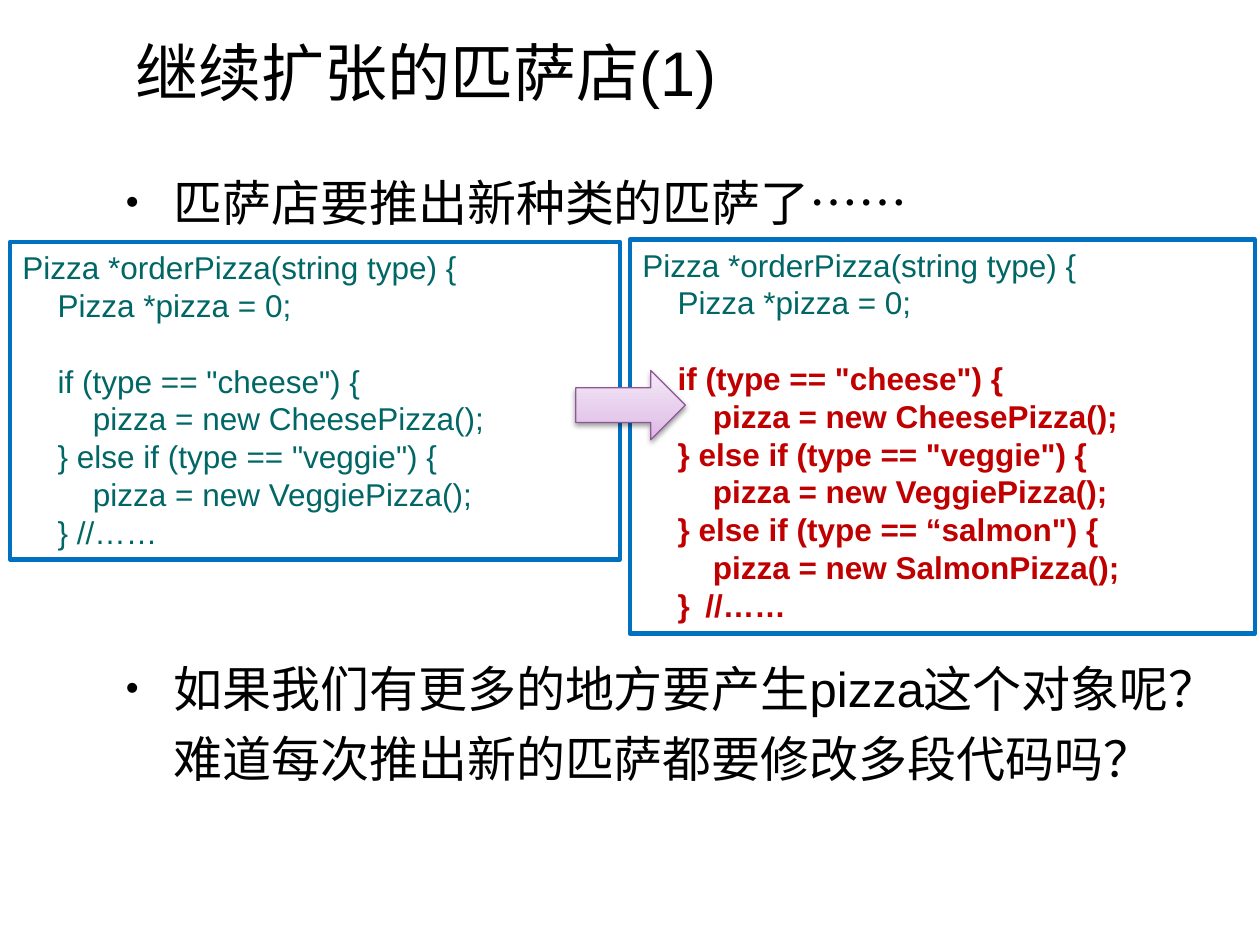
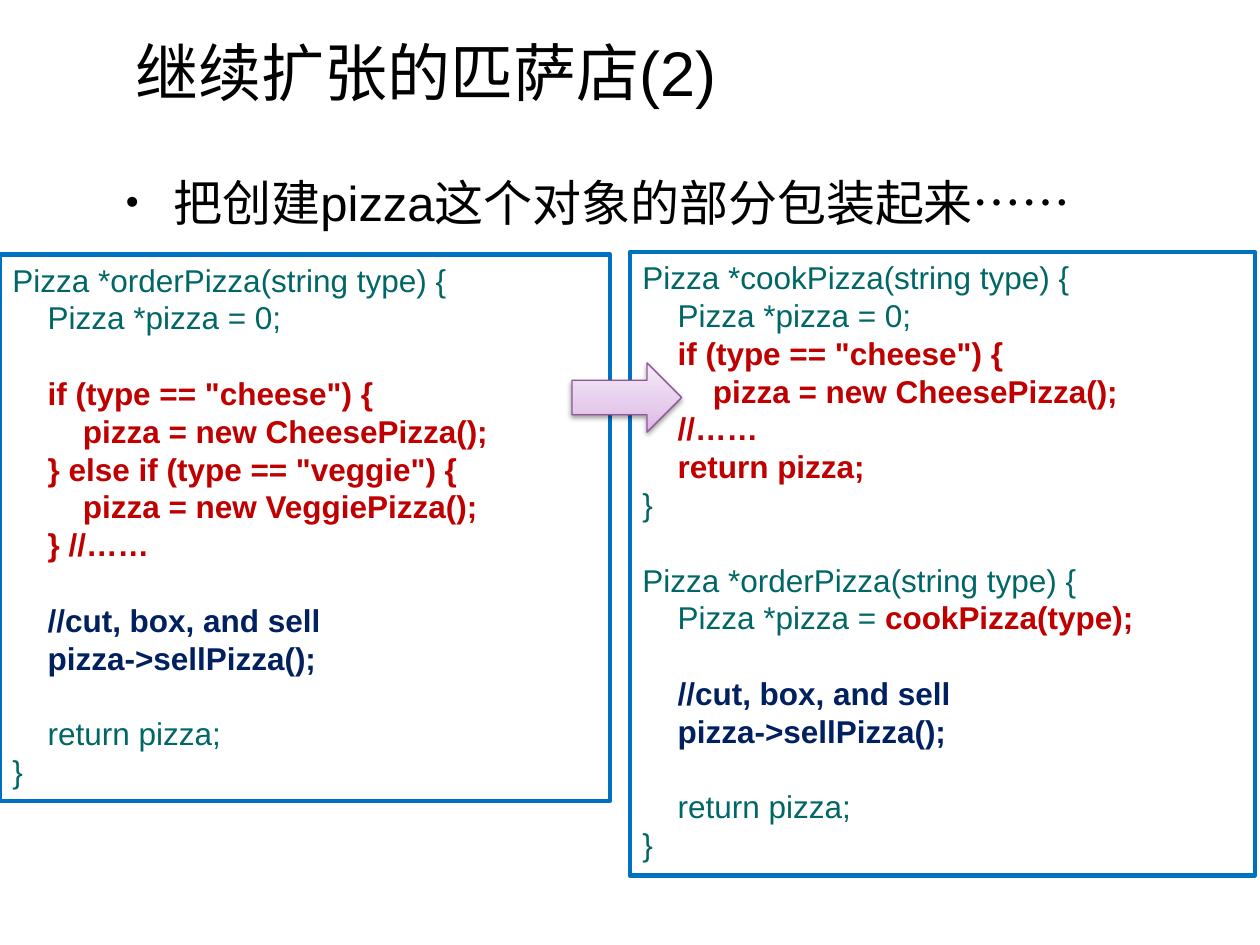
from lxml import etree
from pptx import Presentation
from pptx.dml.color import RGBColor
from pptx.enum import shapes, text
from pptx.oxml import parse_xml
from pptx.oxml.ns import nsdecls, qn
from pptx.util import Inches, Pt

BLACK = RGBColor(0x00, 0x00, 0x00)
TEAL = RGBColor(0x00, 0x66, 0x66)
RED = RGBColor(0xC0, 0x00, 0x00)
NAVY = RGBColor(0x00, 0x20, 0x60)
FRAME_BLUE = RGBColor(0x00, 0x70, 0xC0)
ARROW_EDGE = RGBColor(0x8E, 0x58, 0x98)
ARROW_STOPS = [(0, "DBB4E4"), (35, "E5CBEB"), (100, "F5EAF8")]

PLAIN = {"color": TEAL, "bold": False}
CHANGED = {"color": RED, "bold": True}
SELLING = {"color": NAVY, "bold": True}

FONT = "Arial"
CODE_LINE = Pt(21.6)
CODE_INDENT = 0.28
BULLET_INDENT = 0.38

# A code line is (indent level, (style, text), ...); None is an empty line.
ORDER_HEAD = (0, (PLAIN, "Pizza *orderPizza(string type) {"))
DECLARE = (1, (PLAIN, "Pizza *pizza = 0;"))
CLOSE = (0, (PLAIN, "}"))
SELL = [
    None,
    (1, (SELLING, "//cut, box, and sell")),
    (1, (SELLING, "pizza->sellPizza();")),
    None,
    (1, (PLAIN, "return pizza;")),
    CLOSE,
]


def choices(style, *lines):
    """Code lines of one style; statements inside a branch go one level deeper."""
    return [(2 if line.startswith("pizza =") else 1, (style, line)) for line in lines]


CHEESE = ['if (type == "cheese") {', "pizza = new CheesePizza();"]
VEGGIE = ['} else if (type == "veggie") {', "pizza = new VeggiePizza();"]
SALMON = ["} else if (type == “salmon\") {", "pizza = new SalmonPizza();"]

SLIDES = [
    {
        "title": "继续扩张的匹萨店(1)",
        "body_width": 8.66,
        "bullets": [
            ("匹萨店要推出新种类的匹萨了……", 6),
            ("如果我们有更多的地方要产生pizza这个对象呢？"
             "难道每次推出新的匹萨都要修改多段代码吗？", 237),
        ],
        "panels": [
            ((0.08, 1.92, 4.84, 2.52),
             [ORDER_HEAD, DECLARE, None, *choices(PLAIN, *CHEESE, *VEGGIE, "} //……")]),
            ((5, 1.9, 4.96, 3.13),
             [ORDER_HEAD, DECLARE, None,
              *choices(CHANGED, *CHEESE, *VEGGIE, *SALMON, "}\t//……")]),
        ],
        "arrow": (4.57, 2.94),
    },
    {
        "title": "继续扩张的匹萨店(2)",
        "body_width": 8.35,
        "bullets": [("把创建pizza这个对象的部分包装起来……", 6)],
        "panels": [
            ((0, 2.02, 4.84, 4.34),
             [ORDER_HEAD, DECLARE, None,
              *choices(CHANGED, *CHEESE, *VEGGIE, "} //……"), *SELL]),
            ((5, 2, 4.96, 4.95),
             [(0, (PLAIN, "Pizza *cookPizza(string type) {")), DECLARE,
              *choices(CHANGED, *CHEESE, "//……", "return pizza;"), CLOSE, None,
              ORDER_HEAD,
              (1, (PLAIN, "Pizza *pizza = "), (CHANGED, "cookPizza(type);")),
              *SELL]),
        ],
        "arrow": (4.54, 2.88),
    },
]


def add_box(page, place, anchor=text.MSO_ANCHOR.TOP):
    box = page.shapes.add_textbox(*map(Inches, place))
    box.text_frame.word_wrap = True
    box.text_frame.vertical_anchor = anchor
    return box


def add_span(para, words, size, color=BLACK, bold=False):
    span = para.add_run()
    span.text = words
    for name, value in {"name": FONT, "size": Pt(size), "bold": bold}.items():
        setattr(span.font, name, value)
    span.font.color.rgb = color


def paragraphs(frame, items):
    """Yield each item with its paragraph, using the frame's first one first."""
    for number, item in enumerate(items):
        yield (frame.add_paragraph() if number else frame.paragraphs[0]), item


def add_title(page, words):
    box = add_box(page, (0.98, 0.13, 9.29, 0.87), text.MSO_ANCHOR.MIDDLE)
    add_span(box.text_frame.paragraphs[0], words, 36)


def add_bullets(page, width, bullets):
    frame = add_box(page, (0.9, 1.23, width, 5.75)).text_frame
    for para, (words, gap) in paragraphs(frame, bullets):
        para.line_spacing = 1.2
        para.space_before = Pt(gap)
        add_span(para, words, 28)
        props = para._p.get_or_add_pPr()
        props.set("marL", str(Inches(BULLET_INDENT)))
        props.set("indent", str(-Inches(BULLET_INDENT)))
        for tag, key, value in [("a:buSzPct", "val", "75000"),
                                ("a:buFont", "typeface", FONT),
                                ("a:buChar", "char", "•")]:
            etree.SubElement(props, qn(tag)).set(key, value)


def add_code_panel(page, place, lines):
    box = add_box(page, place)
    box.line.color.rgb = FRAME_BLUE
    box.line.width = Pt(2.5)
    shown = [(line, number and lines[number - 1] is None)
             for number, line in enumerate(lines) if line]
    for para, ((level, *spans), after_gap) in paragraphs(box.text_frame, shown):
        para.line_spacing = CODE_LINE
        para.space_before = CODE_LINE if after_gap else Pt(0)
        para._p.get_or_add_pPr().set("indent", str(Inches(level * CODE_INDENT)))
        for style, words in spans:
            add_span(para, words, 18, **style)


def add_arrow(page, left, top):
    arrow = page.shapes.add_shape(shapes.MSO_SHAPE.RIGHT_ARROW,
                                  *map(Inches, (left, top, 0.87, 0.55)))
    arrow.line.color.rgb = ARROW_EDGE
    arrow.line.width = Pt(0.75)
    arrow.fill.solid()
    stops = "".join(f'<a:gs pos="{pos * 1000}"><a:srgbClr val="{color}"/></a:gs>'
                    for pos, color in ARROW_STOPS)
    props = arrow._element.spPr
    props.replace(props.find(qn("a:solidFill")), parse_xml(
        f'<a:gradFill {nsdecls("a")} rotWithShape="1"><a:gsLst>{stops}</a:gsLst>'
        '<a:lin ang="16200000" scaled="1"/></a:gradFill>'))
    props.append(parse_xml(
        f'<a:effectLst {nsdecls("a")}><a:outerShdw blurRad="{Pt(3.1)}" '
        f'dist="{Pt(1.6)}" dir="5400000" rotWithShape="0"><a:srgbClr val="000000">'
        '<a:alpha val="38000"/></a:srgbClr></a:outerShdw></a:effectLst>'))


def main():
    deck = Presentation()
    deck.slide_width, deck.slide_height = Inches(10), Inches(7.5)
    for content in SLIDES:
        page = deck.slides.add_slide(deck.slide_layouts[6])
        add_title(page, content["title"])
        add_bullets(page, content["body_width"], content["bullets"])
        for place, lines in content["panels"]:
            add_code_panel(page, place, lines)
        add_arrow(page, *content["arrow"])
    deck.save("out.pptx")


if __name__ == "__main__":
    main()
